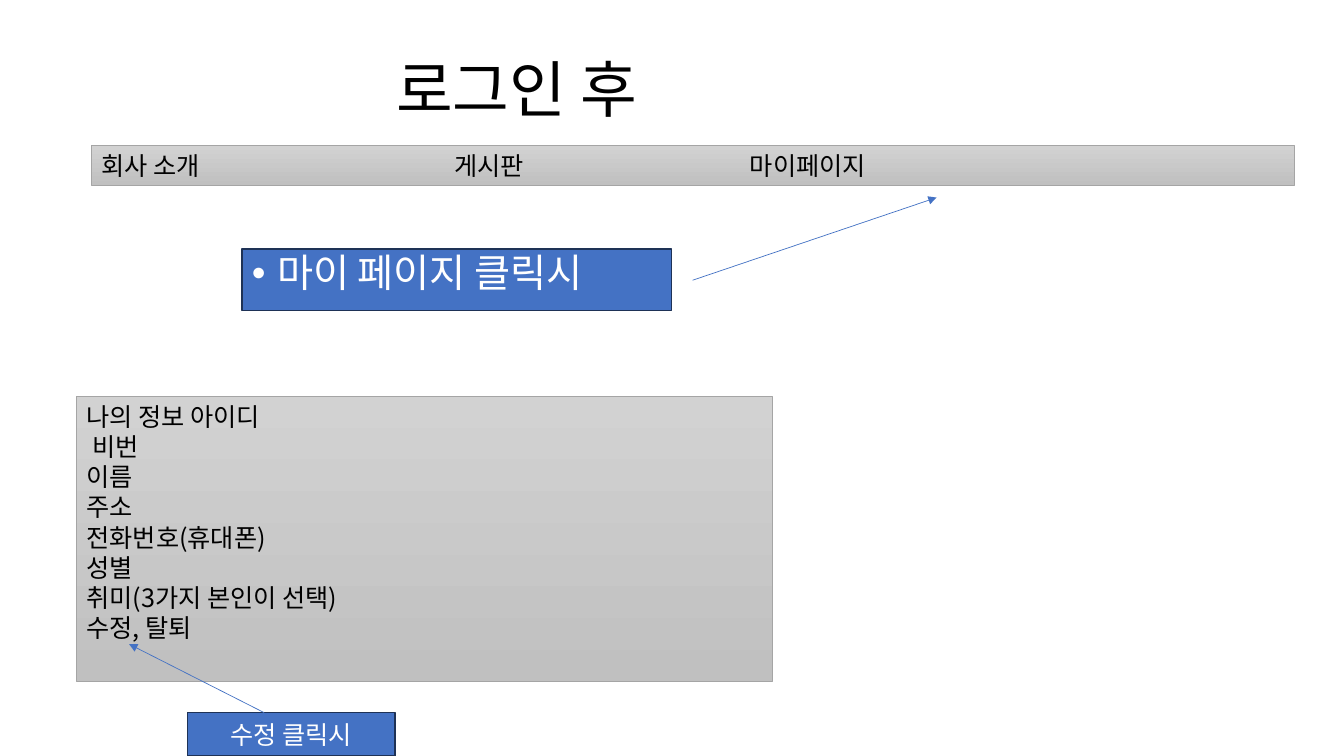
from dataclasses import dataclass

from lxml import etree
from pptx import Presentation
from pptx.dml.color import RGBColor
from pptx.enum.shapes import MSO_CONNECTOR, MSO_SHAPE
from pptx.enum.text import MSO_ANCHOR, PP_ALIGN
from pptx.oxml.ns import qn
from pptx.util import Inches, Pt

RECTANGLE = MSO_SHAPE.RECTANGLE
STRAIGHT = MSO_CONNECTOR.STRAIGHT
TOP, MIDDLE = MSO_ANCHOR.TOP, MSO_ANCHOR.MIDDLE
LEFT, CENTER = PP_ALIGN.LEFT, PP_ALIGN.CENTER

FONT = "Noto Sans CJK KR"
BLACK = RGBColor(0x00, 0x00, 0x00)
WHITE = RGBColor(0xFF, 0xFF, 0xFF)
BLUE = RGBColor(0x44, 0x72, 0xC4)
NAVY = RGBColor(0x1E, 0x32, 0x56)
LIGHT_GRAY = RGBColor(0xD2, 0xD2, 0xD2)
MID_GRAY = RGBColor(0xC0, 0xC0, 0xC0)
BORDER_GRAY = RGBColor(0xA5, 0xA5, 0xA5)


@dataclass
class Box:
    left: float
    top: float
    width: float
    height: float
    lines: list[str]
    action: bool = False
    size: int = 18
    anchor: MSO_ANCHOR = TOP
    align: PP_ALIGN = LEFT


@dataclass
class Arrow:
    start: tuple[float, float]
    end: tuple[float, float]


MENU = Box(0.91, 1.44, 11.93, 0.4, ["회사 소개\t게시판\t마이페이지"])
MENU_TABS = (3.5, 6.43)
MY_PAGE_CLICK = Box(2.4, 2.47, 4.26, 0.61, ["마이 페이지 클릭시"], action=True, size=28)
MY_INFO = Box(0.76, 3.93, 6.9, 2.83, [
    "나의 정보 아이디", " 비번", "이름", "주소", "전화번호(휴대폰)",
    "성별", "취미(3가지 본인이 선택)", "수정, 탈퇴",
])
EDIT_CLICK = Box(1.86, 7.07, 2.06, 0.43, ["수정 클릭시"],
                 action=True, anchor=MIDDLE, align=CENTER)
ARROWS = [
    Arrow((6.87, 2.78), (9.29, 1.96)),
    Arrow((2.62, 7.07), (1.28, 6.39)),
]


def add_run(paragraph, text: str, size: int, color: RGBColor) -> None:
    run = paragraph.add_run()
    run.text = text
    run.font.name = FONT
    run.font.size = Pt(size)
    run.font.color.rgb = color
    etree.SubElement(run.font._element, qn("a:ea"), typeface=FONT)


def add_box(slide, box: Box):
    shape = slide.shapes.add_shape(RECTANGLE, Inches(box.left), Inches(box.top),
                                   Inches(box.width), Inches(box.height))
    shape.shadow.inherit = False
    if box.action:
        shape.fill.solid()
        shape.fill.fore_color.rgb = BLUE
    else:
        shape.fill.gradient()
        shape.fill.gradient_angle = 270
        for stop, color in zip(shape.fill.gradient_stops, (LIGHT_GRAY, MID_GRAY)):
            stop.color.rgb = color
    shape.line.color.rgb = NAVY if box.action else BORDER_GRAY
    shape.line.width = Pt(1 if box.action else 0.5)

    frame = shape.text_frame
    frame.word_wrap = True
    frame.vertical_anchor = box.anchor
    for index, line in enumerate(box.lines):
        paragraph = frame.add_paragraph() if index else frame.paragraphs[0]
        paragraph.alignment = box.align
        add_run(paragraph, line, box.size, WHITE if box.action else BLACK)
    return shape


def set_tabs(paragraph, positions: tuple[float, ...]) -> None:
    tabs = etree.SubElement(paragraph._p.get_or_add_pPr(), qn("a:tabLst"))
    for position in positions:
        etree.SubElement(tabs, qn("a:tab"), pos=str(Inches(position)), algn="l")


def set_bullet(paragraph) -> None:
    paragraph.line_spacing = 0.9
    paragraph.space_before = Pt(10)
    properties = paragraph._p.get_or_add_pPr()
    properties.set("marL", str(Inches(0.25)))
    properties.set("indent", str(Inches(-0.25)))
    etree.SubElement(properties, qn("a:buFont"), typeface="Arial")
    etree.SubElement(properties, qn("a:buChar"), char="•")


def add_arrow(slide, arrow: Arrow) -> None:
    points = [Inches(value) for value in (*arrow.start, *arrow.end)]
    connector = slide.shapes.add_connector(STRAIGHT, *points)
    connector.line.color.rgb = BLUE
    connector.line.width = Pt(0.5)
    properties = connector._element.spPr
    etree.SubElement(properties.find(qn("a:ln")), qn("a:tailEnd"), type="triangle")
    etree.SubElement(properties, qn("a:effectLst"))


def add_title(slide, text: str) -> None:
    title = slide.shapes.title
    title.left, title.top = Inches(0.93), Inches(0.19)
    title.width, title.height = Inches(11.5), Inches(1.45)
    frame = title.text_frame
    frame.margin_left = Inches(3)
    frame.vertical_anchor = MIDDLE
    heading = frame.paragraphs[0]
    heading.alignment = LEFT
    heading.line_spacing = 0.9
    add_run(heading, text, 44, BLACK)


def main() -> None:
    presentation = Presentation()
    presentation.slide_width = Inches(13.33)
    presentation.slide_height = Inches(7.5)
    slide = presentation.slides.add_slide(presentation.slide_layouts[5])

    add_title(slide, "로그인 후")
    my_page_click = add_box(slide, MY_PAGE_CLICK)
    set_bullet(my_page_click.text_frame.paragraphs[0])
    menu = add_box(slide, MENU)
    set_tabs(menu.text_frame.paragraphs[0], MENU_TABS)
    add_box(slide, MY_INFO)
    add_box(slide, EDIT_CLICK)
    for arrow in ARROWS:
        add_arrow(slide, arrow)

    presentation.save("out.pptx")


if __name__ == "__main__":
    main()
